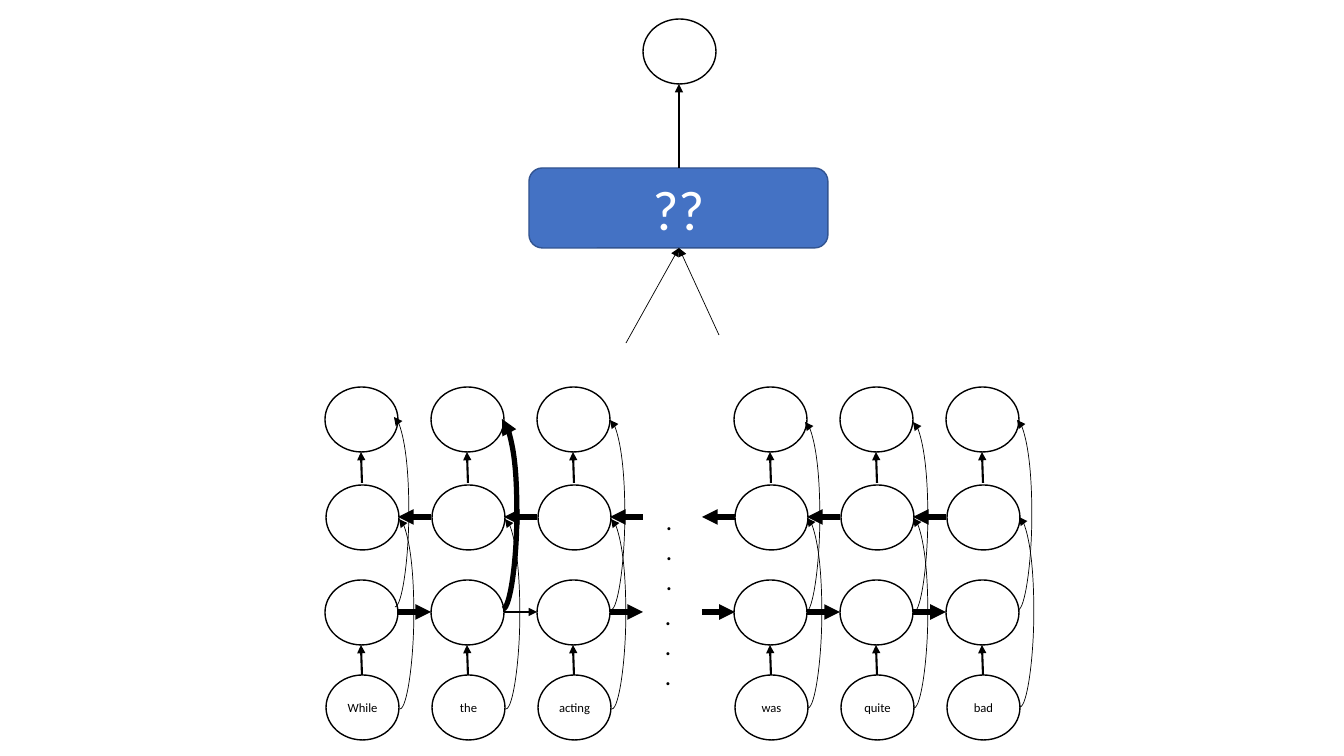
import pptx
import pptx.util
import pptx.dml.color
import pptx.enum.shapes
import pptx.enum.text
import pptx.oxml
import pptx.oxml.ns

PX = 914400 / 100.8
FONT = "Calibri"
BLACK, WHITE, BLUE, NAVY = "000000", "FFFFFF", "4472C4", "325491"
THIN, MEDIUM, THICK = 0.5, 1.5, 3.75

WORDS = ["While", "the", "acting", "was", "quite", "bad"]
COLUMNS = [325, 431, 537, 734, 840, 946]
NODE_W, NODE_H = 73, 65
OUTPUT_Y, BACKWARD_Y, FORWARD_Y, WORD_Y = 387, 485, 580, 675
BACKWARD_MID, FORWARD_MID = 517, 612
GAP = 33
CURVE_H, CURVE_BULGE = 190, 14
BACKWARD_TIPS = [(399, 519), (505, 519), (611, 519), (807, 518), (913, 518), (1019, 517)]
OUTPUT_TIPS = [(394, 417), (502, 419), (610, 420), (805, 422), (913, 422), (1017, 420)]
DOTS = [(655, 595), (656, 500)]
RESULT = (643, 19)
MERGE = (529, 168, 299, 80)
MERGE_MID = 679
MERGE_INPUTS = [(626, 343), (719, 335)]


def px(n):
    return pptx.util.Emu(round(n * PX))


def rgb(color):
    return pptx.dml.color.RGBColor.from_string(color)


def write(s, text, size, color, align=None):
    tf = s.text_frame
    tf.text = text
    tf.word_wrap = True
    p = tf.paragraphs[0]
    p.alignment = align
    font = p.runs[0].font
    font.name, font.size = FONT, pptx.util.Pt(size)
    font.color.rgb = rgb(color)


def add_block(kind, x, y, w, h, fill=None, line=BLACK, text="", size=9, color=BLACK):
    s = shapes.add_shape(kind, px(x), px(y), px(w), px(h))
    s.shadow.inherit = False
    if fill:
        s.fill.solid()
        s.fill.fore_color.rgb = rgb(fill)
    else:
        s.fill.background()
    s.line.color.rgb = rgb(line)
    s.line.width = pptx.util.Pt(1)
    if text:
        tf = s.text_frame
        tf.margin_left = tf.margin_right = 0
        tf.vertical_anchor = pptx.enum.text.MSO_ANCHOR.MIDDLE
        write(s, text, size, color, pptx.enum.text.PP_ALIGN.CENTER)


def add_node(x, y, fill=None, text=""):
    add_block(SHAPE.OVAL, x, y, NODE_W, NODE_H, fill, text=text)


def add_arrow(x1, y1, x2, y2, width, kind=pptx.enum.shapes.MSO_CONNECTOR.STRAIGHT):
    c = shapes.add_connector(kind, px(x1), px(y1), px(x2), px(y2))
    c.line.color.rgb = rgb(BLACK)
    c.line.width = pptx.util.Pt(width)
    qn = pptx.oxml.ns.qn
    head = c.line._get_or_add_ln().makeelement(qn("a:tailEnd"), {"type": "triangle"})
    c.line._get_or_add_ln().append(head)
    c._element.spPr.append(head.makeelement(qn("a:effectLst"), {}))
    return c


def add_skip(x, y, width):
    """Curved arrow bulging right, ending at the tip (x, y)."""
    c = add_arrow(x + 1, y + CURVE_H, x, y, width, pptx.enum.shapes.MSO_CONNECTOR.CURVE)
    qn = pptx.oxml.ns.qn
    guides = c._element.spPr.find(qn("a:prstGeom")).get_or_add_avLst()
    guides.append(guides.makeelement(
        qn("a:gd"), {"name": "adj1", "fmla": f"val {-CURVE_BULGE * 100000}"}))


SHAPE = pptx.enum.shapes.MSO_SHAPE
prs = pptx.Presentation()
prs.slide_width, prs.slide_height = px(1344), px(756)
shapes = prs.slides.add_slide(prs.slide_layouts[6]).shapes

for x, word in zip(COLUMNS, WORDS):
    add_node(x + 1, WORD_Y, WHITE, word)
    add_node(x, FORWARD_Y)
    add_node(x + 1, BACKWARD_Y)
    add_node(x, OUTPUT_Y)
    for start, target in [(WORD_Y, FORWARD_Y), (BACKWARD_Y - 2, OUTPUT_Y)]:
        add_arrow(x + 37, start, x + 36, target + NODE_H, MEDIUM)

gaps = [x + NODE_W for x in COLUMNS[:-1]] + [COLUMNS[3] - GAP + 1]
for i, x in enumerate(gaps):
    add_arrow(x, FORWARD_MID, x + GAP, FORWARD_MID, MEDIUM if i == 1 else THICK)
    add_arrow(x + GAP, BACKWARD_MID, x, BACKWARD_MID, THICK)

for x, y in DOTS:
    write(shapes.add_textbox(px(x), px(y), px(GAP), px(22)), ". . .", 18, BLACK)

for x, y in BACKWARD_TIPS:
    add_skip(x, y, THIN)
for i, (x, y) in enumerate(OUTPUT_TIPS):
    add_skip(x, y, THICK if i == 1 else THIN)

add_node(*RESULT)
add_block(SHAPE.ROUNDED_RECTANGLE, *MERGE, BLUE, NAVY, "??", 40, WHITE)
add_arrow(MERGE_MID, MERGE[1], MERGE_MID, RESULT[1] + NODE_H, MEDIUM)
for x, y in MERGE_INPUTS:
    add_arrow(x, y, MERGE_MID, MERGE[1] + MERGE[3], THIN)

prs.save("out.pptx")
